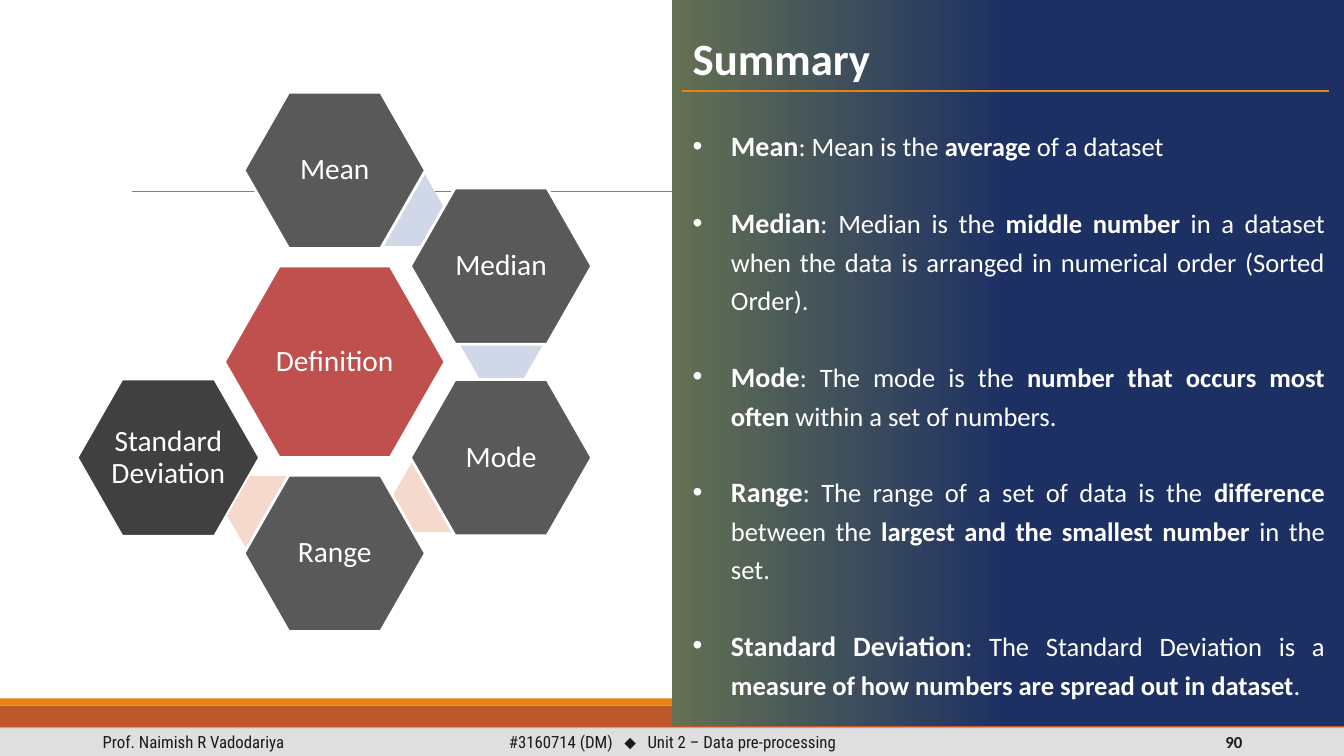
from lxml import etree
from pptx import Presentation
from pptx.dml.color import RGBColor
from pptx.enum import shapes, text
from pptx.oxml import ns
from pptx.util import Inches, Pt

SHAPE, ALIGN, ANCHOR = shapes.MSO_SHAPE, text.PP_ALIGN, text.MSO_ANCHOR

SUMMARY = [  # asterisks enclose bold words
    "*Mean*: Mean is the *average* of a dataset",
    "*Median*: Median is the *middle number *in a dataset when the data is "
    "arranged in numerical order (Sorted Order).",
    "*Mode*: The mode is the *number that occurs most often *within a set of numbers.",
    "*Range*: The range of a set of data is the *difference* between the "
    "*largest and the smallest number *in the set.",
    "*Standard Deviation*: The Standard Deviation is a "
    "*measure of how numbers are spread out in dataset*.",
]

# Label, column and row relative to the centre, fill, outline width
HEXAGONS = [
    ("Mean", 0, -2, "595959", 2),
    ("Median", 1, -1, "595959", 2),
    ("Mode", 1, 1, "595959", 2),
    ("Range", 0, 2, "595959", 2),
    ("Standard Deviation", -1, 1, "404040", 1.25),
]
# Left, top and fill of the link drawn before each hexagon
LINKS = [
    (3.59, 1.73, "D0D8E8"),
    (4.56, 3.06, "D0D8E8"),
    (3.89, 4.57, "F5D9CC"),
    (2.23, 4.72, "F5D9CC"),
]
CENTRE_X, CENTRE_Y, COLUMN, ROW = 3.32, 3.59, 1.65, 0.95


def rgb(value):
    return RGBColor.from_string(value)


class SlideBuilder:
    font = "Calibri"
    white = "FFFFFF"
    footer_font = "Roboto Condensed"
    footer_color = "1A1A1A"

    def __init__(self, page):
        self.page = page

    def style(self, span, size, color, bold=False, font=None):
        span.font.name = font or self.font
        span.font.size = Pt(size)
        span.font.bold = bold
        span.font.color.rgb = rgb(color)

    def frame(self, box, inset_x, inset_y, anchor):
        frame = box.text_frame
        frame.word_wrap = True
        frame.auto_size = text.MSO_AUTO_SIZE.NONE
        frame.margin_left = frame.margin_right = Inches(inset_x)
        frame.margin_top = frame.margin_bottom = Inches(inset_y)
        frame.vertical_anchor = anchor
        return frame

    def place(self, holder, left, top, width, height):
        """Move a placeholder and bring it in front of the shapes drawn so far."""
        holder.left, holder.top = Inches(left), Inches(top)
        holder.width, holder.height = Inches(width), Inches(height)
        holder.element.getparent().append(holder.element)

    def shape(self, kind, left, top, width, height, fill=None, outline=0):
        shape = self.page.shapes.add_shape(
            kind, Inches(left), Inches(top), Inches(width), Inches(height))
        shape.shadow.inherit = False
        if fill:
            shape.fill.solid()
            shape.fill.fore_color.rgb = rgb(fill)
        if outline:
            shape.line.color.rgb = rgb(self.white)
            shape.line.width = Pt(outline)
        else:
            shape.line.fill.background()
        return shape

    def panel(self, left, top, width, height):
        panel = self.shape(SHAPE.RECTANGLE, left, top, width, height)
        panel.fill.gradient()
        panel.fill.gradient_angle = 180
        for stop, position, color in zip(
                panel.fill.gradient_stops, (0.5, 1), ("1D3064", "637052")):
            stop.position = position
            stop.color.rgb = rgb(color)

    def hexagon(self, x, y, width, height, fill, outline=0, label="", adjust=0.286):
        """Draw a hexagon centred on x, y."""
        hexagon = self.shape(SHAPE.HEXAGON, x - width / 2, y - height / 2,
                             width, height, fill, outline)
        hexagon.adjustments[0] = adjust
        if label:
            frame = self.frame(hexagon, 0, 0, ANCHOR.MIDDLE)
            frame.text = label
            para = frame.paragraphs[0]
            para.alignment = ALIGN.CENTER
            para.line_spacing = 0.9
            self.style(para.runs[0], 21, self.white)

    def rule(self, left, right, y, color, width, alpha=100):
        line = self.page.shapes.add_connector(
            shapes.MSO_CONNECTOR.STRAIGHT,
            Inches(left), Inches(y), Inches(right), Inches(y))
        line.line.color.rgb = rgb(color)
        line.line.width = Pt(width)
        properties = line.element.spPr
        if alpha < 100:
            shade = properties.find(".//" + ns.qn("a:srgbClr"))
            etree.SubElement(shade, ns.qn("a:alpha"), val=str(alpha * 1000))
        etree.SubElement(properties, ns.qn("a:effectLst"))

    def footer(self, left, width, align, parts):
        """Add footer text; each part is words, font, bold and letter spacing."""
        box = self.page.shapes.add_textbox(
            Inches(left), Inches(7.22), Inches(width), Inches(0.28))
        para = self.frame(box, 0.1, 0.05, ANCHOR.MIDDLE).paragraphs[0]
        para.alignment = align
        for words, font, bold, spacing in parts:
            span = para.add_run()
            span.text = words
            self.style(span, 12, self.footer_color, bold, font)
            if spacing:
                span.font._element.set("spc", str(spacing))

    def title(self, words):
        holder = self.page.shapes.title
        self.place(holder, 6.67, 0.2, 6.67, 0.65)
        frame = self.frame(holder, 0.2, 0, ANCHOR.TOP)
        frame.text = words
        para = frame.paragraphs[0]
        para.alignment = ALIGN.LEFT
        para.line_spacing = 1.2
        self.style(para.runs[0], 32, self.white, True)

    def bullets(self, items):
        holder = self.page.placeholders[1]
        self.place(holder, 6.67, 1.21, 6.67, 5.95)
        frame = self.frame(holder, 0.2, 0, ANCHOR.TOP)
        for index, item in enumerate(items):
            para = frame.add_paragraph() if index else frame.paragraphs[0]
            properties = para._p.get_or_add_pPr()
            properties.set("marL", str(Inches(0.38)))
            properties.set("indent", str(-Inches(0.38)))
            etree.SubElement(properties, ns.qn("a:buFont"), typeface="Arial")
            etree.SubElement(properties, ns.qn("a:buChar"), char="•")
            para.alignment = ALIGN.JUSTIFY
            para.line_spacing = 1.2
            para.space_before = Pt(26.3 if index else 0)
            para.space_after = Pt(0)
            for part, words in enumerate(item.split("*")):
                if words:
                    span = para.add_run()
                    span.text = words
                    self.style(span, 20 if part == 1 else 19, self.white, part % 2 == 1)


def main():
    deck = Presentation()
    deck.slide_width, deck.slide_height = Inches(13.33), Inches(7.5)
    slide = SlideBuilder(deck.slides.add_slide(deck.slide_layouts[1]))

    slide.shape(SHAPE.RECTANGLE, 0, 7, 13.33, 0.5, "BD582C")
    slide.shape(SHAPE.RECTANGLE, 0, 6.93, 13.33, 0.07, "E48312")
    slide.rule(1.31, 12.21, 1.9, "808080", 0.5)
    slide.shape(SHAPE.RECTANGLE, 0, 7.22, 13.33, 0.28, "DFDFDF")
    condensed = slide.footer_font
    slide.footer(0.92, 3, ALIGN.LEFT,
                 [("Prof. Naimish R Vadodariya", condensed, False, 0)])
    gap = (" ", condensed, False, 540)
    slide.footer(4.42, 4.5, ALIGN.CENTER, [
        ("#3160714 (DM)", condensed, False, 0), gap,
        ("⬥", "Arial", False, 0), gap,
        ("Unit 2 – Data pre-processing", condensed, False, 0)])
    slide.footer(9.42, 3, ALIGN.RIGHT, [("90", slide.font, True, 0)])
    slide.rule(0, 13.33, 7.22, "BFBFBF", 1, alpha=70)

    slide.panel(6.67, 0, 6.66, 7.2)
    slide.title("Summary")
    slide.bullets(SUMMARY)
    slide.rule(6.76, 13.18, 0.9, "E48312", 1.5)

    slide.hexagon(CENTRE_X, CENTRE_Y, 2.19, 1.9, "C0504D", 2, "Definition")
    for index, (label, column, row, fill, outline) in enumerate(HEXAGONS):
        if index < len(LINKS):
            left, top, tint = LINKS[index]
            slide.hexagon(left + 0.415, top + 0.355, 0.83, 0.71, tint, adjust=0.289)
        slide.hexagon(CENTRE_X + column * COLUMN, CENTRE_Y + row * ROW,
                      1.8, 1.55, fill, outline, label)
    deck.save("out.pptx")


if __name__ == "__main__":
    main()
